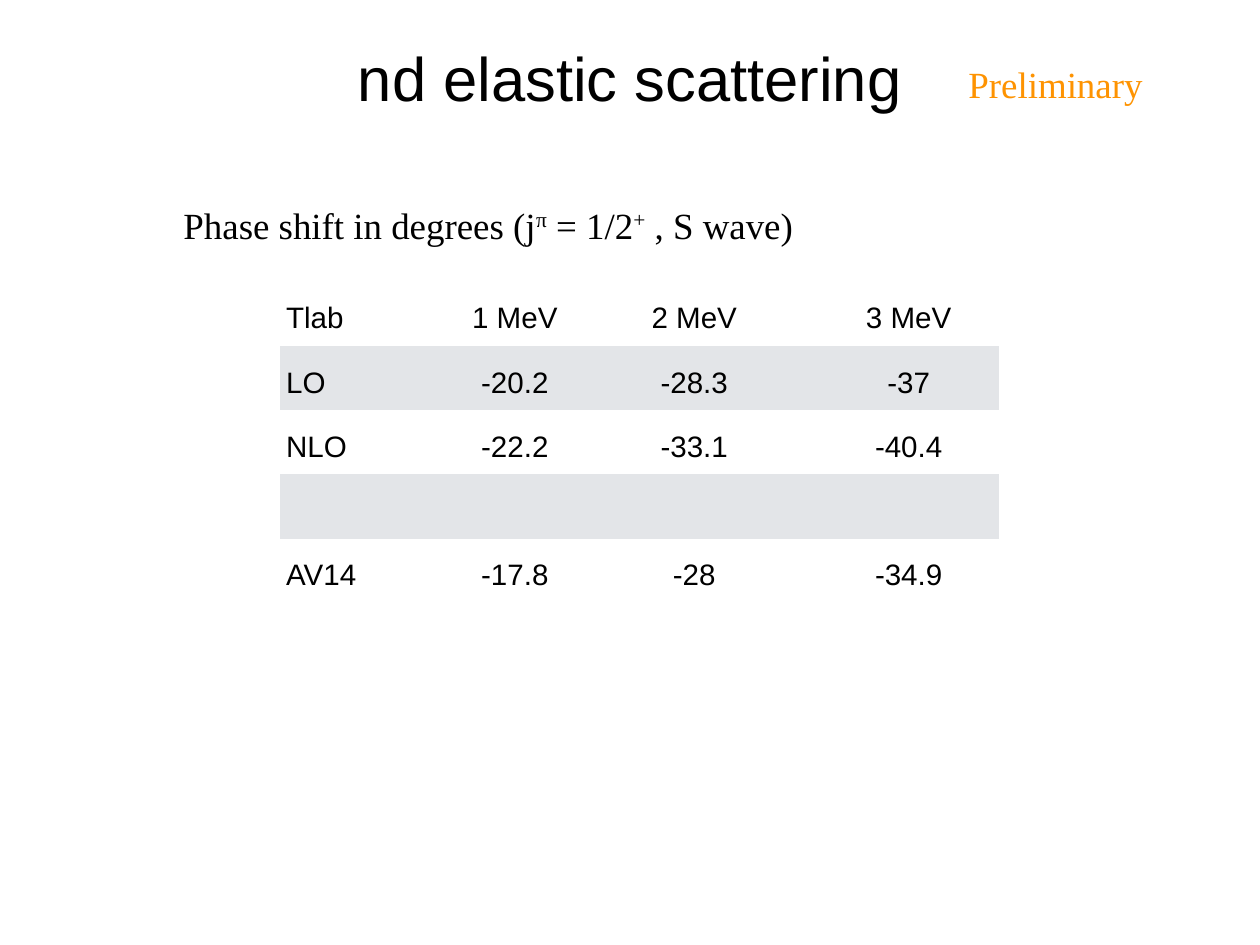
import pptx
import pptx.util
import pptx.dml.color
import pptx.enum.text

ALIGN = pptx.enum.text.PP_ALIGN
MIDDLE = pptx.enum.text.MSO_ANCHOR.MIDDLE
FIT = pptx.enum.text.MSO_AUTO_SIZE
PLAIN = "{2D5ABB26-0587-4C30-8999-92F81FD0307C}"  # table style without grid


def tint(code):
    return pptx.dml.color.RGBColor.from_string(code)


def assign(item, values):
    for name, value in values.items():
        setattr(item, name, value)


class Sheet:
    """Current slide and its style; lengths are percent of the slide's size."""

    sans, serif = "Arial", "Times New Roman"
    black, orange = "000000", "FE9301"
    bands = ("FFFFFF", "E3E5E8")
    inset = pptx.util.Inches(0.06)
    pad = pptx.util.Inches(0.07)

    def __init__(self, deck):
        self.wide, self.high = deck.slide_width, deck.slide_height
        self.slide = deck.slides.add_slide(deck.slide_layouts[6])

    def across(self, share):
        return round(self.wide * share / 100)

    def down(self, share):
        return round(self.high * share / 100)

    def letter(self, para, parts, size, face, color, **layout):
        """Fill a paragraph; every second part is raised."""
        assign(para, layout)
        for index, part in enumerate(parts):
            run = para.add_run()
            run.text = part
            assign(run.font, {"size": pptx.util.Pt(size), "name": face, "bold": False})
            run.font.color.rgb = tint(color)
            if index % 2:
                run.font._element.set("baseline", "32000")

    def text(self, left, top, width, height, parts, size, face, color,
             wrap=False, fit=FIT.SHAPE_TO_FIT_TEXT, **layout):
        box = self.slide.shapes.add_textbox(
            self.across(left), self.down(top), self.across(width), self.down(height))
        frame = box.text_frame
        sides = ("left", "top", "right", "bottom")
        assign(frame, {f"margin_{side}": self.inset for side in sides})
        assign(frame, {"word_wrap": wrap, "auto_size": fit, "vertical_anchor": MIDDLE})
        self.letter(frame.paragraphs[0], parts, size, face, color, **layout)

    def table(self, left, top, widths, height, rows, size):
        grid = self.slide.shapes.add_table(
            len(rows), len(widths), self.across(left), self.down(top),
            self.across(sum(widths)), self.down(height * len(rows))).table
        assign(grid, {"first_row": False, "horz_banding": False})
        grid._tbl.tblPr[0].text = PLAIN
        for column, width in zip(grid.columns, widths):
            column.width = self.across(width)
        for r, row in enumerate(rows):
            grid.rows[r].height = self.down(height)
            for c, value in enumerate(row):
                cell = grid.cell(r, c)
                assign(cell, {"margin_left": self.pad, "margin_right": self.pad,
                              "margin_top": 0, "margin_bottom": 0,
                              "vertical_anchor": MIDDLE})
                cell.fill.solid()
                cell.fill.fore_color.rgb = tint(self.bands[r % 2])
                if value:
                    self.letter(cell.text_frame.paragraphs[0], [value], size,
                                self.sans, self.black, line_spacing=1.3,
                                alignment=ALIGN.CENTER if c else ALIGN.LEFT)


def main():
    deck = pptx.Presentation()
    assign(deck, {"slide_width": pptx.util.Inches(14.22),
                  "slide_height": pptx.util.Inches(10.67)})
    sheet = Sheet(deck)

    # Title and status
    sheet.text(7.31, 2.62, 85.37, 10.97, ["nd elastic scattering"], 50,
               sheet.sans, sheet.black, wrap=True, fit=FIT.NONE,
               alignment=ALIGN.CENTER)
    sheet.text(76.44, 5.44, 14.7, 5.34, ["Preliminary"], 30,
               sheet.serif, sheet.orange, line_spacing=1.3)

    # Phase shifts by energy
    shifts = [
        ("Tlab", "1 MeV", "2 MeV", "3 MeV"),
        ("LO", "-20.2", "-28.3", "-37"),
        ("NLO", "-22.2", "-33.1", "-40.4"),
        ("", "", "", ""),
        ("AV14", "-17.8", "-28", "-34.9"),
    ]
    sheet.table(22.22, 29.8, (14.28, 8.72, 19.76, 14.28), 6.8, shifts, 24)

    # Table heading
    sheet.text(14.14, 20.43, 49.79, 5.34,
               ["Phase shift in degrees (j", "π", " = 1/2", "+", " , S wave)"],
               30, sheet.serif, sheet.black, wrap=True, line_spacing=1.3)

    deck.save("out.pptx")


if __name__ == "__main__":
    main()
